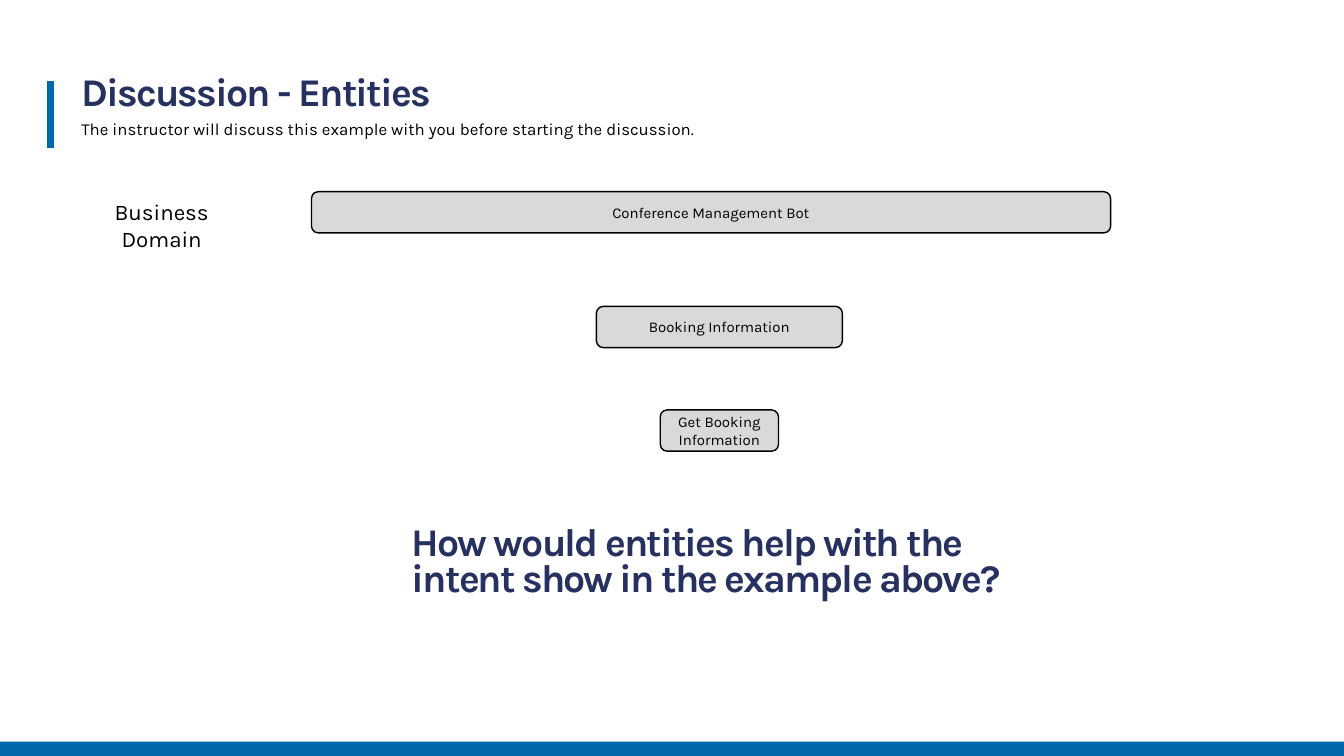
from dataclasses import dataclass

from lxml import etree
from pptx import Presentation
from pptx.dml.color import RGBColor
from pptx.enum.shapes import MSO_CONNECTOR, MSO_SHAPE
from pptx.enum.text import MSO_ANCHOR, PP_ALIGN
from pptx.oxml.ns import qn
from pptx.util import Cm, Pt

LEFT, CENTER = PP_ALIGN.LEFT, PP_ALIGN.CENTER
MIDDLE = MSO_ANCHOR.MIDDLE
RECTANGLE, ROUNDED = MSO_SHAPE.RECTANGLE, MSO_SHAPE.ROUNDED_RECTANGLE
STRAIGHT = MSO_CONNECTOR.STRAIGHT

SLIDE_WIDTH, SLIDE_HEIGHT = 33.87, 19.05


@dataclass(frozen=True)
class Theme:
    font: str = "Karla"
    heading_color: RGBColor = RGBColor(0x27, 0x31, 0x60)
    accent: RGBColor = RGBColor(0x00, 0x69, 0xAA)
    ink: RGBColor = RGBColor(0x00, 0x00, 0x00)
    box_fill: RGBColor = RGBColor(0xD9, 0xD9, 0xD9)
    heading_size: float = 28
    heading_leading: float = 26
    heading_tracking: float = -1.3
    label_size: float = 16
    body_size: float = 12
    box_size: float = 10.7
    box_outline: float = 1
    accent_width: float = 4.5


class SlideBuilder:
    """Adds styled elements to one slide; all lengths are in centimetres."""

    def __init__(self, slide, theme):
        self.slide = slide
        self.theme = theme

    def set_text(self, shape, text, size, color, align):
        text_frame = shape.text_frame
        text_frame.word_wrap = True
        text_frame.text = text
        paragraph = text_frame.paragraphs[0]
        paragraph.alignment = align
        font = paragraph.runs[0].font
        font.name = self.theme.font
        font.size = Pt(size)
        font.color.rgb = color
        return paragraph

    def text(self, text, left, top, width, height, size, align=LEFT):
        shape = self.slide.shapes.add_textbox(Cm(left), Cm(top), Cm(width), Cm(height))
        return self.set_text(shape, text, size, self.theme.ink, align)

    def heading(self, text, left, top, width, height):
        theme = self.theme
        paragraph = self.text(text, left, top, width, height, theme.heading_size)
        paragraph.line_spacing = Pt(theme.heading_leading)
        run = paragraph.runs[0]
        run.font.bold = True
        run.font.color.rgb = theme.heading_color
        run.font._element.set("spc", str(round(theme.heading_tracking * 100)))

    def shape(self, kind, left, top, width, height, fill):
        shape = self.slide.shapes.add_shape(kind, Cm(left), Cm(top), Cm(width), Cm(height))
        shape.shadow.inherit = False
        shape.fill.solid()
        shape.fill.fore_color.rgb = fill
        return shape

    def bar(self, left, top, width, height):
        shape = self.shape(RECTANGLE, left, top, width, height, self.theme.accent)
        shape.line.fill.background()

    def box(self, text, left, top, width, height=1.04):
        theme = self.theme
        shape = self.shape(ROUNDED, left, top, width, height, theme.box_fill)
        shape.line.color.rgb = theme.ink
        shape.line.width = Pt(theme.box_outline)
        shape.text_frame.vertical_anchor = MIDDLE
        self.set_text(shape, text, theme.box_size, theme.ink, CENTER)

    def accent_line(self, x, top, bottom):
        line = self.slide.shapes.add_connector(STRAIGHT, Cm(x), Cm(top), Cm(x), Cm(bottom))
        line.line.color.rgb = self.theme.accent
        line.line.width = Pt(self.theme.accent_width)
        etree.SubElement(line._element.spPr, qn("a:effectLst"))


def main():
    presentation = Presentation()
    presentation.slide_width = Cm(SLIDE_WIDTH)
    presentation.slide_height = Cm(SLIDE_HEIGHT)
    slide = presentation.slides.add_slide(presentation.slide_layouts[6])
    theme = Theme()
    builder = SlideBuilder(slide, theme)

    margin = 1.8
    builder.heading("Discussion - Entities", margin, 1.85, 13.51, 1.19)
    footer_height = 0.36
    builder.bar(0, SLIDE_HEIGHT - footer_height, SLIDE_WIDTH, footer_height)
    builder.accent_line(1.27, 2.03, 3.73)
    builder.text(
        "The instructor will discuss this example with you before starting the discussion.",
        margin, 2.87, 30.43, 1.73, theme.body_size)

    builder.text("Business Domain", margin, 4.88, 4.55, 0.94, theme.label_size, CENTER)
    for text, center, top, width in (
        ("Conference Management Bot", 17.92, 4.83, 20.14),
        ("Booking Information", 18.13, 7.72, 6.2),
        ("Get Booking Information", 18.13, 10.33, 2.98),
    ):
        builder.box(text, center - width / 2, top, width)

    builder.heading(
        "How would entities help with the intent show in the example above?",
        10.13, 13.18, 17.09, 2.11)
    presentation.save("out.pptx")


if __name__ == "__main__":
    main()
